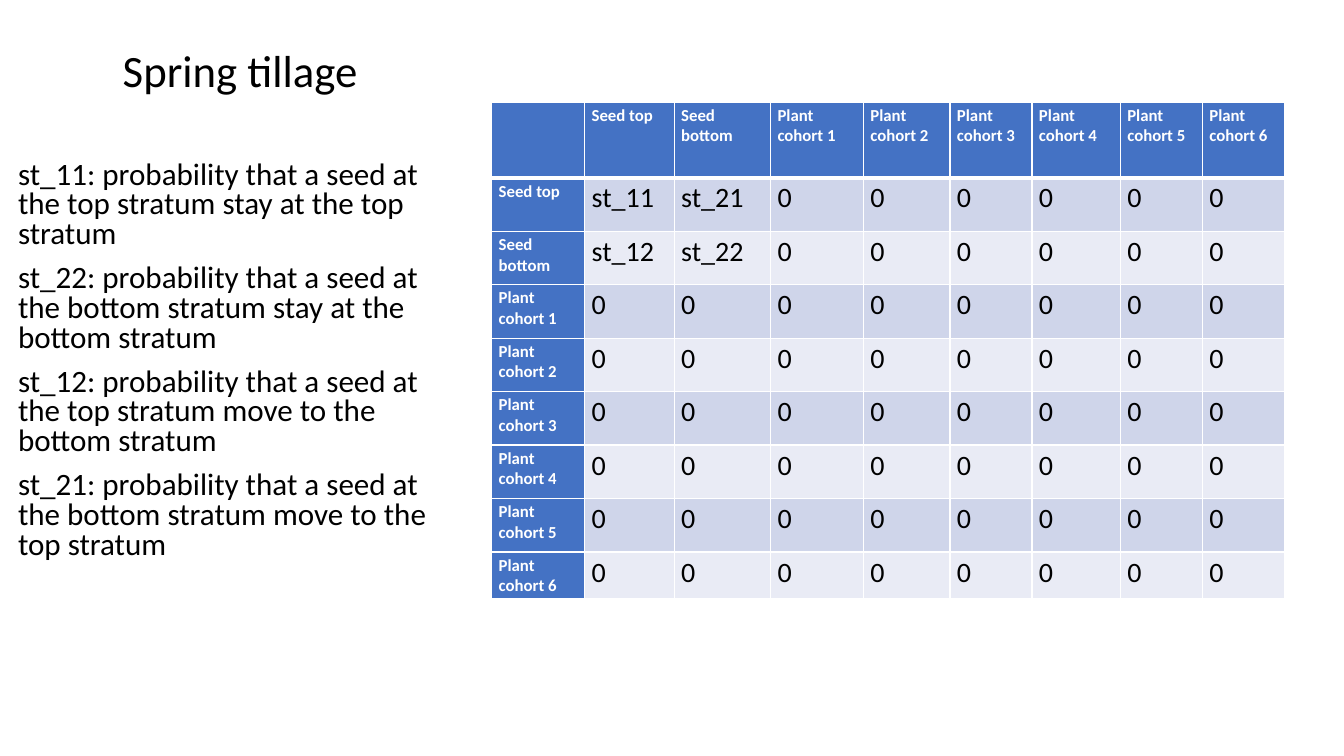
from dataclasses import dataclass

from lxml import etree
from pptx import Presentation
from pptx.dml.color import RGBColor
from pptx.enum import text
from pptx.oxml import ns
from pptx.util import Pt

FONT = "Calibri"
BLACK = RGBColor(0x00, 0x00, 0x00)
WHITE = RGBColor(0xFF, 0xFF, 0xFF)
HEADER_BLUE = RGBColor(0x44, 0x72, 0xC4)
BANDS = (RGBColor(0xCF, 0xD5, 0xEA), RGBColor(0xE9, 0xEB, 0xF5))


@dataclass
class TextBlock:
    left: float
    top: float
    width: float
    height: float
    lines: list[str]
    size: float
    line_spacing: float
    space_before: float
    anchor: text.MSO_ANCHOR


@dataclass
class CellStyle:
    fill: RGBColor
    color: RGBColor
    size: float
    bold: bool


def style_font(font, size: float, color: RGBColor, bold: bool = False) -> None:
    font.name, font.size, font.bold = FONT, Pt(size), bold
    font.color.rgb = color


def draw_text(slide, block: TextBlock) -> None:
    frame = slide.shapes.add_textbox(
        Pt(block.left), Pt(block.top), Pt(block.width), Pt(block.height)
    ).text_frame
    frame.word_wrap = True
    frame.vertical_anchor = block.anchor
    frame.text = "\n".join(block.lines)
    for paragraph in frame.paragraphs:
        paragraph.line_spacing = block.line_spacing
        paragraph.space_before = Pt(block.space_before)
        style_font(paragraph.runs[0].font, block.size, BLACK)


def add_borders(cell, widths: dict[str, float]) -> None:
    """Insert the white borders ahead of the fill, as the schema requires."""
    properties = cell._tc.get_or_add_tcPr()
    for position, (side, width) in enumerate(widths.items()):
        line = etree.Element(ns.qn(f"a:ln{side}"), w=str(Pt(width)))
        fill = etree.SubElement(line, ns.qn("a:solidFill"))
        etree.SubElement(fill, ns.qn("a:srgbClr"), val=str(WHITE))
        properties.insert(position, line)


def draw_cell(cell, content: str, style: CellStyle, borders: dict[str, float]) -> None:
    cell.margin_left = cell.margin_right = Pt(5)
    cell.margin_top = cell.margin_bottom = Pt(2.4)
    cell.fill.solid()
    cell.fill.fore_color.rgb = style.fill
    cell.text = content
    paragraph = cell.text_frame.paragraphs[0]
    style_font(paragraph.font, style.size, style.color, style.bold)
    for run in paragraph.runs:
        style_font(run.font, style.size, style.color, style.bold)
    add_borders(cell, borders)


deck = Presentation()
deck.slide_width, deck.slide_height = Pt(960), Pt(540)
slide = deck.slides.add_slide(deck.slide_layouts[6])

# Title and definitions of the probabilities
moves = [
    ("st_11", "top", "stay at", "top"),
    ("st_22", "bottom", "stay at", "bottom"),
    ("st_12", "top", "move to", "bottom"),
    ("st_21", "bottom", "move to", "top"),
]
definitions = [
    f"{symbol}: probability that a seed at the {start} stratum {verb} the {end} stratum"
    for symbol, start, verb, end in moves
]
draw_text(slide, TextBlock(80.6, 24.5, 189.4, 48.2, ["Spring tillage"],
                           32, 0.9, 0, text.MSO_ANCHOR.BOTTOM))
draw_text(slide, TextBlock(5.8, 111.6, 309.6, 300.2, definitions,
                           22.2, 0.8, 10, text.MSO_ANCHOR.TOP))

# Transition matrix between seed strata and plant cohorts
stages = ["Seed top", "Seed bottom"] + [f"Plant cohort {n}" for n in range(1, 7)]
transitions = {(1, 1): "st_11", (1, 2): "st_21", (2, 1): "st_12", (2, 2): "st_22"}
column_widths = [66.4, 64, 68.8, 66.4, 61.8, 58.6, 63.1, 58.6, 58.6]
row_heights = [54] + [38.2] * 7 + [33]

matrix = slide.shapes.add_table(
    len(row_heights), len(column_widths), Pt(351.2), Pt(73),
    Pt(sum(column_widths)), Pt(sum(row_heights)),
).table
for column, width in zip(matrix.columns, column_widths):
    column.width = Pt(width)
for row, height in zip(matrix.rows, row_heights):
    row.height = Pt(height)

header_style = CellStyle(HEADER_BLUE, WHITE, 12, True)
band_styles = [CellStyle(band, BLACK, 20, False) for band in BANDS]
labels = [""] + stages
for r in range(len(labels)):
    borders = {"L": 1, "R": 1, "T": 3 if r == 1 else 1, "B": 3 if r == 0 else 1}
    for c in range(len(labels)):
        if r == 0 or c == 0:
            draw_cell(matrix.cell(r, c), labels[r + c], header_style, borders)
        else:
            draw_cell(matrix.cell(r, c), transitions.get((r, c), "0"),
                      band_styles[(r - 1) % 2], borders)

deck.save("out.pptx")
